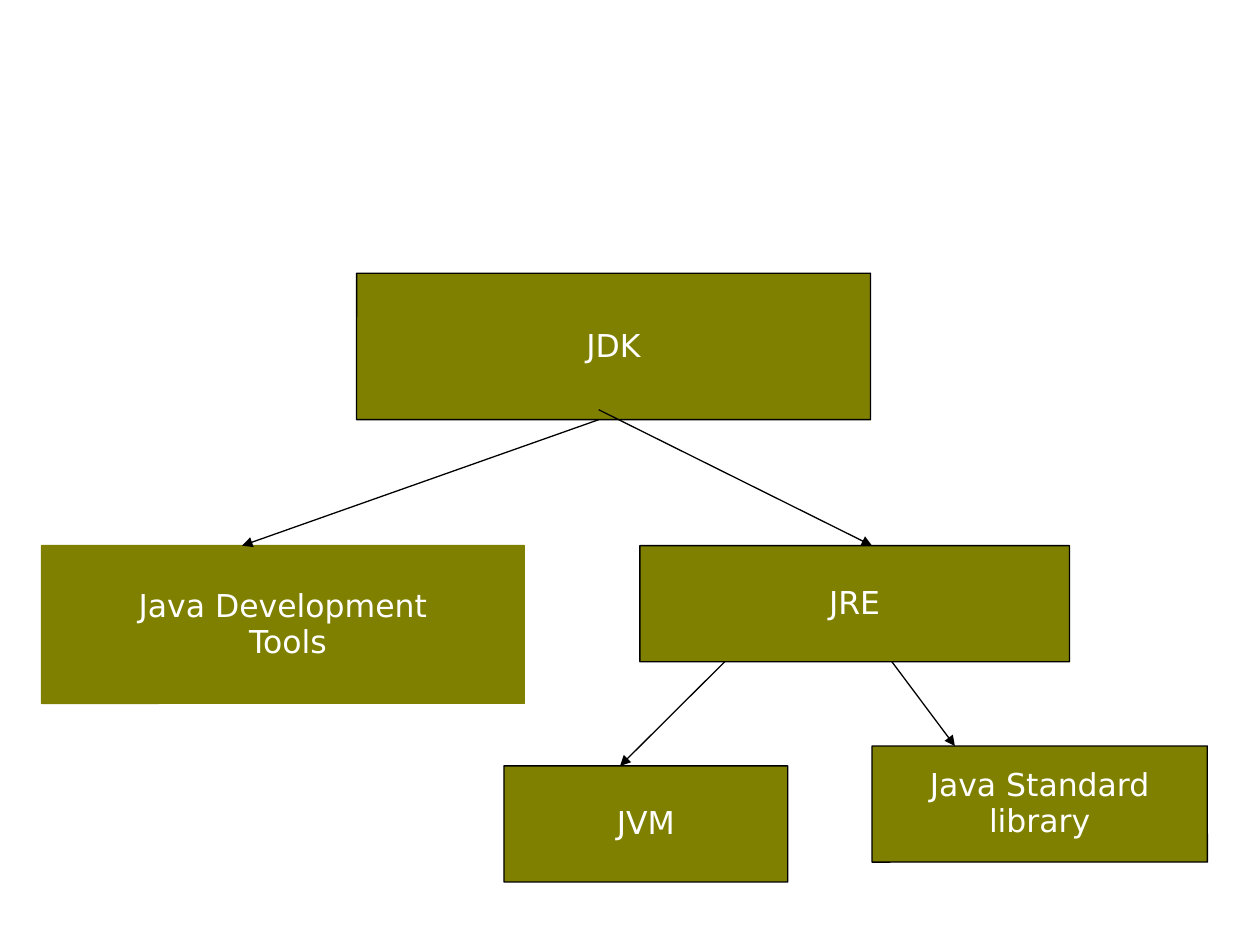
from lxml import etree
from pptx import Presentation
from pptx.dml.color import RGBColor
from pptx.enum.shapes import MSO_CONNECTOR, MSO_SHAPE
from pptx.enum.text import MSO_ANCHOR, PP_ALIGN
from pptx.oxml.ns import qn
from pptx.util import Cm, Pt

BOX = MSO_SHAPE.ROUNDED_RECTANGLE
STRAIGHT = MSO_CONNECTOR.STRAIGHT
MIDDLE = MSO_ANCHOR.MIDDLE
CENTER = PP_ALIGN.CENTER
OLIVE, BLACK, WHITE = "808000", "000000", "FFFFFF"


def rgb(value):
    return RGBColor.from_string(value)


def write(frame, text, font="DejaVu Sans", size=18, color=WHITE, spacing=0.95):
    """Fill a text frame with centred paragraphs, one per line of text."""
    frame.word_wrap = True
    frame.vertical_anchor = MIDDLE
    frame.text = text
    for paragraph in frame.paragraphs:
        paragraph.alignment = CENTER
        paragraph.line_spacing = spacing
        run_font = paragraph.runs[0].font
        run_font.name = font
        run_font.size = Pt(size)
        run_font.color.rgb = rgb(color)


prs = Presentation()
prs.slide_width, prs.slide_height = Cm(25.4), Cm(19.05)
slide = prs.slides.add_slide(prs.slide_layouts[6])

# Component, left, top, width, height (cm), outline
components = [
    ("JDK", 7.19, 5.51, 10.36, 2.95, BLACK),
    ("Java Development\n Tools", 0.84, 11, 9.73, 3.18, OLIVE),
    ("JRE", 12.9, 11, 8.66, 2.34, BLACK),
    ("JVM", 10.16, 15.44, 5.72, 2.34, BLACK),
    ("Java Standard library", 17.58, 15.04, 6.76, 2.34, BLACK),
]
for label, left, top, width, height, outline in components:
    box = slide.shapes.add_shape(BOX, Cm(left), Cm(top), Cm(width), Cm(height))
    box.adjustments[0] = 0.001
    box.shadow.inherit = False
    box.fill.solid()
    box.fill.fore_color.rgb = rgb(OLIVE)
    box.line.color.rgb = rgb(outline)
    box.line.width = Pt(0.75)
    write(box.text_frame, label)

# Start x, start y, end x, end y (cm)
arrows = [
    (12.07, 8.26, 17.58, 11),     # JDK to JRE
    (12.07, 8.46, 4.88, 11),      # JDK to development tools
    (14.61, 13.34, 12.5, 15.44),  # JRE to JVM
    (17.98, 13.34, 19.25, 15.04),  # JRE to standard library
]
for ends in arrows:
    arrow = slide.shapes.add_connector(STRAIGHT, *map(Cm, ends))
    arrow.line.color.rgb = rgb(BLACK)
    arrow.line.width = Pt(0.75)
    properties = arrow.element.spPr
    etree.SubElement(properties.find(qn("a:ln")), qn("a:tailEnd"), type="triangle")
    etree.SubElement(properties, qn("a:effectLst"))

prs.save("out.pptx")
